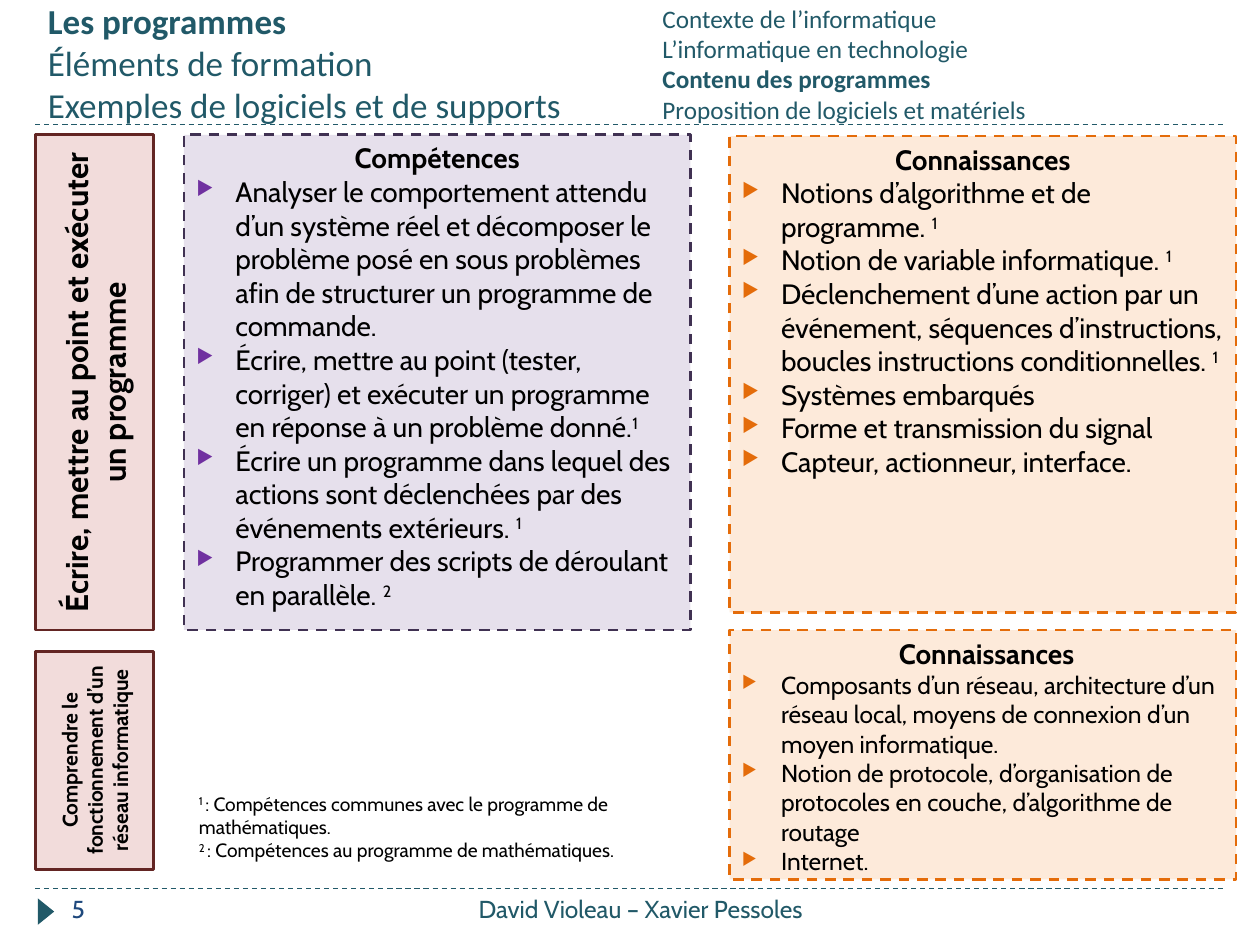
from lxml import etree
from pptx import Presentation
from pptx import util as u
from pptx.dml.color import RGBColor
from pptx.enum import dml, shapes, text
from pptx.oxml.ns import qn

# Markup: *bold* and ^superscript^
TITLE = ["*Les programmes*", "Éléments de formation", "Exemples de logiciels et de supports"]
AGENDA = ["Contexte de l’informatique", "L’informatique en technologie",
          "*Contenu des programmes*", "Proposition de logiciels et matériels"]
AUTHORS = ["David Violeau – Xavier Pessoles"]
PAGE_NUMBER = ["5"]
FOOTNOTES = ["^1 ^: Compétences communes avec le programme de mathématiques.",
             "^2 ^: Compétences au programme de mathématiques."]

SKILLS = [
    "Analyser le comportement attendu d’un système réel et décomposer le problème posé "
    "en sous problèmes afin de structurer un programme de commande.",
    "Écrire, mettre au point (tester, corriger) et exécuter un programme en réponse à un "
    "problème donné.^1^",
    "Écrire un programme dans lequel des actions sont déclenchées par des événements "
    "extérieurs. ^1^",
    "Programmer des scripts de déroulant en parallèle. ^2^",
]
PROGRAM_KNOWLEDGE = [
    "Notions d’algorithme et de programme. ^1^",
    "Notion de variable informatique. ^1^",
    "Déclenchement d’une action par un événement, séquences d’instructions, boucles "
    "instructions conditionnelles. ^1^",
    "Systèmes embarqués",
    "Forme et transmission du signal",
    "Capteur, actionneur, interface.",
]
NETWORK_KNOWLEDGE = [
    "Composants d’un réseau, architecture d’un réseau local, moyens de connexion d’un "
    "moyen informatique.",
    "Notion de protocole, d’organisation de protocoles en couche, d’algorithme de routage",
    "Internet.",
]

WIDTH, HEIGHT = 10, 7.5
MARGIN = 0.28
HEADER_BOTTOM, FOOTER_TOP = 0.99, 7.05
COLUMNS = {"theme": (MARGIN, 0.94), "skills": (1.46, 4.02), "knowledge": (5.79, 4.02)}
TEAL, BLACK, NAVY = "215968", "000000", "1F497D"
VIOLET = {"fill": "E6E0EC", "outline": "403152", "bullet": "7030A0"}
ORANGE = {"fill": "FDEADA", "outline": "E46C0A", "bullet": "E46C0A"}
ROSE = {"fill": "F2DCDB", "outline": "632523"}

# column, top, height, label, size
THEMES = [
    ("theme", 1.07, 3.93, "*Écrire, mettre au point et exécuter un programme*", 18),
    ("theme", 5.17, 1.73, "*Comprendre le fonctionnement d’un réseau informatique*", 12),
]
# column, top, height, heading, items, item size, right inset, palette
CARDS = [
    ("skills", 1.07, 3.93, "*Compétences*", SKILLS, 16, 0.1, VIOLET),
    ("knowledge", 1.08, 3.78, "*Connaissances*", PROGRAM_KNOWLEDGE, 16, 0.1, ORANGE),
    ("knowledge", 5, 1.98, "*Connaissances*", NETWORK_KNOWLEDGE, 14, 0.04, ORANGE),
]


def color(value):
    return RGBColor.from_string(value)


def assign(target, **values):
    for name, value in values.items():
        setattr(target, name, value)


def place(item, left, top, width, height):
    assign(item, left=u.Inches(left), top=u.Inches(top),
           width=u.Inches(width), height=u.Inches(height))


def add_bullet(para, tint):
    properties = para._p.get_or_add_pPr()
    indent = u.Inches(0.31)
    properties.set("marL", str(indent))
    properties.set("indent", str(-indent))
    holder = etree.SubElement(properties, qn("a:buClr"))
    etree.SubElement(holder, qn("a:srgbClr"), val=tint)
    etree.SubElement(properties, qn("a:buSzPct"), val="70000")
    etree.SubElement(properties, qn("a:buChar"), char="▶")


def write(frame, lines, size, tint=BLACK, face="Cabin", align=text.PP_ALIGN.LEFT, bullet=None):
    """Fill the frame's empty first paragraph, then append one paragraph per further line."""
    for line in lines:
        para = frame.paragraphs[0] if not frame.text else frame.add_paragraph()
        para.alignment = align
        if bullet:
            add_bullet(para, bullet)
        for bold, part in enumerate(line.split("*")):
            for raised, piece in enumerate(part.split("^")):
                if not piece:
                    continue
                span = para.add_run()
                span.text = piece
                assign(span.font, size=u.Pt(size), name=face, bold=bold % 2 == 1)
                span.font.color.rgb = color(tint)
                if raised % 2:
                    span.font._element.set("baseline", "30000")


def add_text(page, area, lines, size, anchor=text.MSO_ANCHOR.TOP, **style):
    box = page.shapes.add_textbox(0, 0, 0, 0)
    place(box, *area)
    assign(box.text_frame, word_wrap=True, vertical_anchor=anchor)
    write(box.text_frame, lines, size, **style)
    return box


def add_panel(page, column, top, height, palette, anchor, dash=None):
    left, width = COLUMNS[column]
    panel = page.shapes.add_shape(shapes.MSO_SHAPE.RECTANGLE, 0, 0, 0, 0)
    place(panel, left, top, width, height)
    panel.shadow.inherit = False
    panel.fill.solid()
    panel.fill.fore_color.rgb = color(palette["fill"])
    panel.line.color.rgb = color(palette["outline"])
    assign(panel.line, width=u.Pt(1.5), dash_style=dash)
    assign(panel.text_frame, word_wrap=True, vertical_anchor=anchor)
    return panel.text_frame


def add_rule(page, top):
    rule = page.shapes.add_connector(
        shapes.MSO_CONNECTOR.STRAIGHT, u.Inches(MARGIN), u.Inches(top),
        u.Inches(WIDTH - MARGIN), u.Inches(top))
    rule.line.color.rgb = color(TEAL)
    assign(rule.line, width=u.Pt(0.75), dash_style=dml.MSO_LINE.DASH)
    etree.SubElement(rule._element.spPr, qn("a:effectLst"))


def add_footer(page):
    marker = page.shapes.add_shape(shapes.MSO_SHAPE.ISOSCELES_TRIANGLE, 0, 0, 0, 0)
    place(marker, 0.26, 7.17, 0.21, 0.13)
    marker.rotation = 90
    marker.shadow.inherit = False
    marker.fill.solid()
    marker.fill.fore_color.rgb = color(TEAL)
    marker.line.fill.background()
    add_text(page, (3.17, FOOTER_TOP, 3.83, 0.4), AUTHORS, 14, tint=TEAL,
             align=text.PP_ALIGN.CENTER)
    add_text(page, (0.47, FOOTER_TOP, 2.17, 0.4), PAGE_NUMBER, 14, tint=NAVY)


def main():
    deck = Presentation()
    assign(deck, slide_width=u.Inches(WIDTH), slide_height=u.Inches(HEIGHT))
    page = deck.slides.add_slide(deck.slide_layouts[5])
    middle, center = text.MSO_ANCHOR.MIDDLE, text.PP_ALIGN.CENTER

    for top in (FOOTER_TOP, HEADER_BOTTOM):
        add_rule(page, top)
    add_footer(page)

    for column, top, height, label, size in THEMES:
        frame = add_panel(page, column, top, height, ROSE, middle)
        frame._txBody.bodyPr.set("vert", "vert270")
        write(frame, [label], size, align=center)

    for column, top, height, heading, items, size, inset, palette in CARDS:
        frame = add_panel(page, column, top, height, palette, text.MSO_ANCHOR.TOP,
                          dml.MSO_LINE.DASH)
        frame.margin_right = u.Inches(inset)
        write(frame, [heading], 16, align=center)
        write(frame, items, size, bullet=palette["bullet"])

    notes = add_text(page, (1.48, 6.24, 4.02, 0.66), FOOTNOTES, 11)
    notes.text_frame.auto_size = text.MSO_AUTO_SIZE.SHAPE_TO_FIT_TEXT

    title = page.shapes.title
    place(title, MARGIN, 0, 4.57, HEADER_BOTTOM)
    assign(title.text_frame, word_wrap=True, vertical_anchor=middle,
           auto_size=text.MSO_AUTO_SIZE.NONE)
    write(title.text_frame, TITLE, 20, tint=TEAL, face="Calibri")
    add_text(page, (5.16, 0, 4.57, 1.01), AGENDA, 14.4, middle, tint=TEAL, face="Calibri")

    deck.save("out.pptx")


if __name__ == "__main__":
    main()
